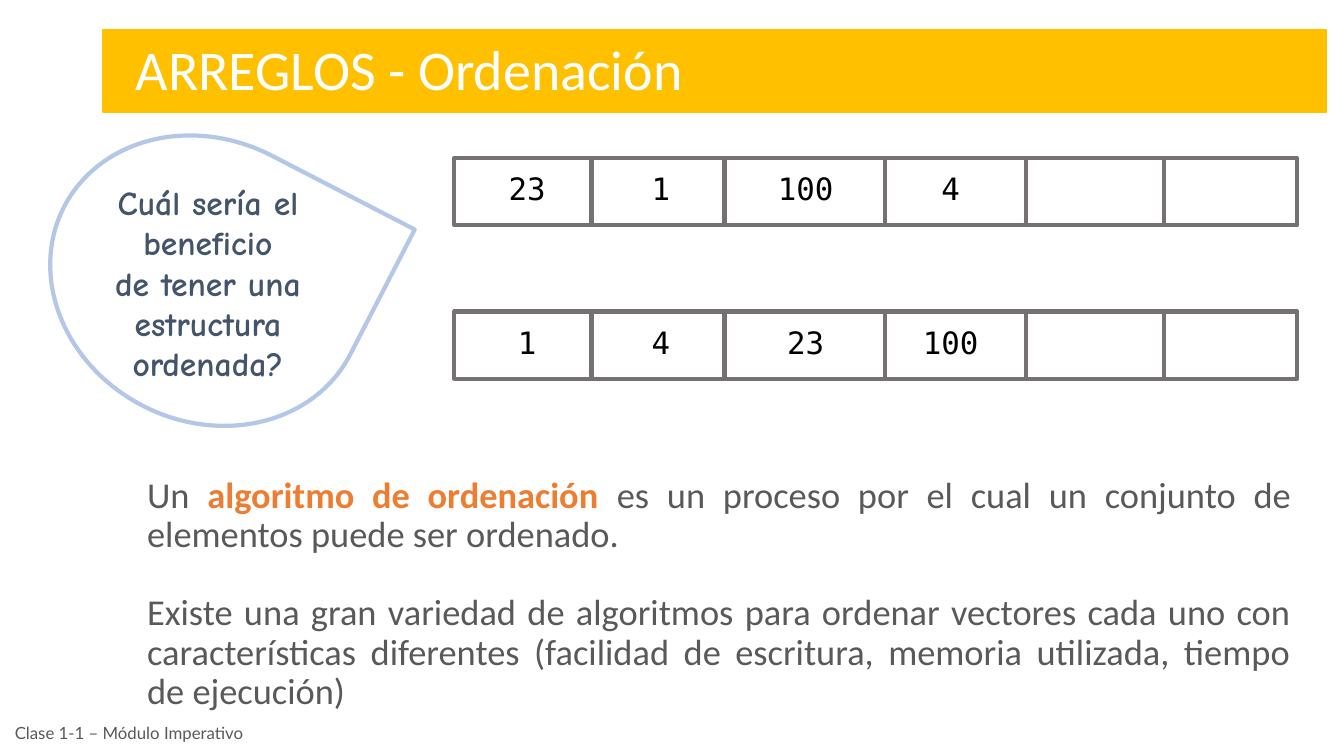
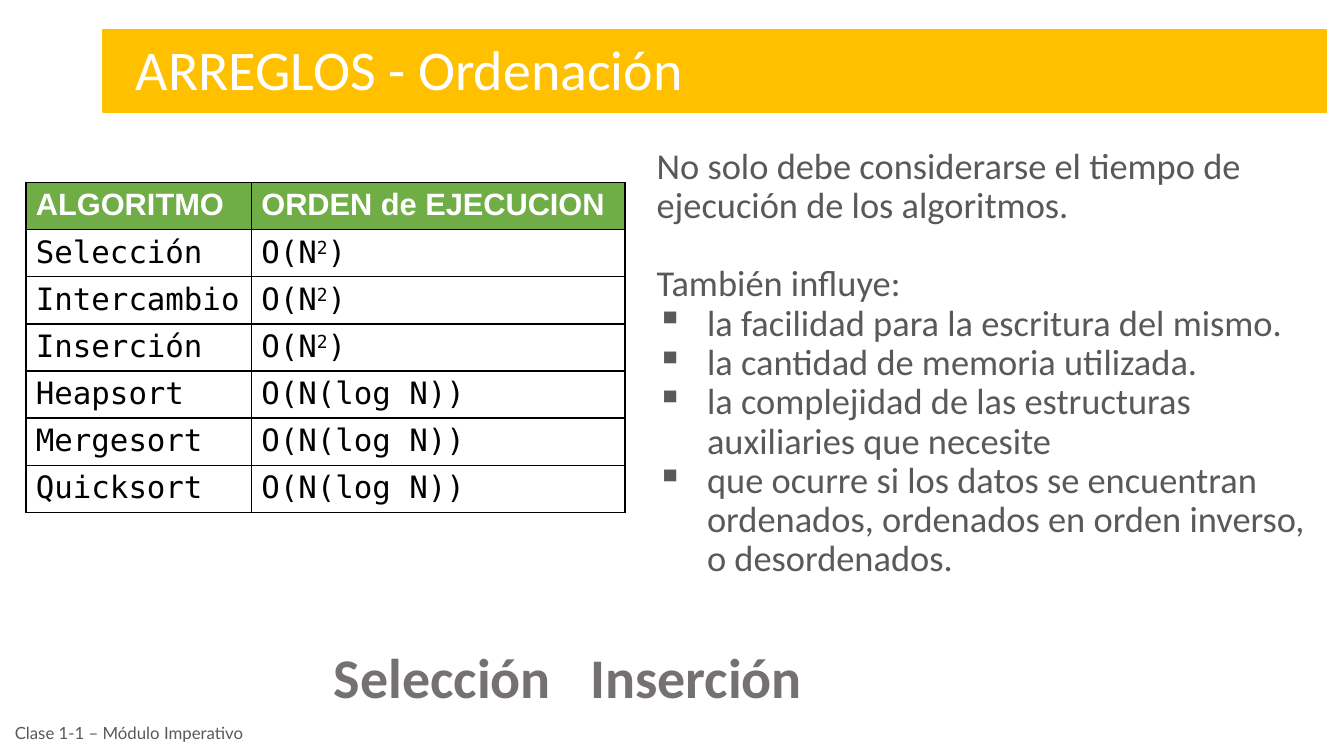
from lxml.etree import SubElement
from pptx import Presentation
from pptx.dml.color import RGBColor
from pptx.enum.shapes import MSO_CONNECTOR, MSO_SHAPE
from pptx.enum.text import MSO_ANCHOR, PP_ALIGN
from pptx.oxml.ns import qn
from pptx.util import Pt

AMBER = RGBColor(0xFF, 0xC0, 0x00)
WHITE = RGBColor(0xFF, 0xFF, 0xFF)
BLACK = RGBColor(0x00, 0x00, 0x00)
SLATE = RGBColor(0x44, 0x54, 0x6A)
SKY = RGBColor(0xB4, 0xC7, 0xE7)
GRAY = RGBColor(0x76, 0x71, 0x71)
TEXT = RGBColor(0x59, 0x59, 0x59)
ORANGE = RGBColor(0xED, 0x7D, 0x31)
GREEN = RGBColor(0x70, 0xAD, 0x47)

SANS, MONO, COMIC = "Calibri", "DejaVu Sans Mono", "Comic Neue"
BODY = dict(size=26, font=SANS, color=TEXT, spacing=0.9)
PARAGRAPH_GAP = 28
DIVIDERS = (98, 193, 307.5, 408.5, 507)
VALUE_CENTERS = (52, 147.5, 251, 354.5)
VALUE_WIDTH = 74

ORDERS = [
    ("Selección", "O(N^2^)"),
    ("Intercambio", "O(N^2^)"),
    ("Inserción", "O(N^2^)"),
    ("Heapsort", "O(N(log N))"),
    ("Mergesort", "O(N(log N))"),
    ("Quicksort", "O(N(log N))"),
]
FACTORS = [
    "la facilidad para la escritura del mismo.",
    "la cantidad de memoria utilizada.",
    "la complejidad de las estructuras auxiliaries que necesite",
    "que ocurre si los datos se encuentran ordenados, "
    "ordenados en orden inverso, o desordenados.",
]


def add_run(p, text, size=22, font=SANS, color=TEXT, bold=False, raised=False):
    r = p.add_run()
    r.text = text
    r.font.size, r.font.name, r.font.bold = Pt(size), font, bold
    r.font.color.rgb = color
    if raised:
        r.font._element.set("baseline", "30000")


def write(tf, text, first=False, align=PP_ALIGN.LEFT, spacing=1.0, before=0,
          bullet=None, accent=None, **style):
    p = tf.paragraphs[0] if first else tf.add_paragraph()
    p.alignment, p.line_spacing, p.space_before = align, spacing, Pt(before)
    if bullet:
        pPr = p._p.get_or_add_pPr()
        pPr.set("marL", str(Pt(36)))
        pPr.set("indent", str(-Pt(36)))
        SubElement(pPr, qn("a:buChar")).set("char", bullet)
    for i, part in enumerate(text.split("*")):
        marked = dict(style, color=accent, bold=True) if i % 2 else style
        for j, piece in enumerate(part.split("^")):
            if piece:
                add_run(p, piece, raised=j % 2 == 1, **marked)


def add_frame(s, x, y, w, h, anchor=MSO_ANCHOR.TOP):
    tf = s.shapes.add_textbox(Pt(x), Pt(y), Pt(w), Pt(h)).text_frame
    tf.word_wrap, tf.vertical_anchor = True, anchor
    return tf


def add_label(s, x, y, w, h, text, anchor=MSO_ANCHOR.TOP, **style):
    write(add_frame(s, x, y, w, h, anchor), text, first=True, **style)


def add_box(s, kind, x, y, w, h, line, weight, fill=None):
    sp = s.shapes.add_shape(kind, Pt(x), Pt(y), Pt(w), Pt(h))
    sp.shadow.inherit = False
    if fill is None:
        sp.fill.background()
    else:
        sp.fill.solid()
        sp.fill.fore_color.rgb = fill
    sp.line.color.rgb, sp.line.width = line, Pt(weight)
    return sp


def add_divider(s, x, y, h):
    line = s.shapes.add_connector(MSO_CONNECTOR.STRAIGHT, Pt(x), Pt(y), Pt(x), Pt(y + h))
    line.line.color.rgb, line.line.width = GRAY, Pt(3)
    SubElement(line._element.spPr, qn("a:effectLst"))


def add_base(prs):
    s = prs.slides.add_slide(prs.slide_layouts[6])
    add_box(s, MSO_SHAPE.RECTANGLE, 73.5, 21.5, 874, 58.5, AMBER, 1, AMBER)
    add_label(s, 90, 21.5, 410, 55.5, "ARREGLOS - Ordenación", size=40, color=WHITE)
    add_label(s, 3.5, 507.5, 230, 32.5, "Clase 1-1 – Módulo Imperativo",
              anchor=MSO_ANCHOR.MIDDLE, size=12, font="Lato")
    return s


def add_question(s, x, y, w, h):
    tf = add_frame(s, x + 6, y + 26.5, 219, 152.5)
    style = dict(align=PP_ALIGN.CENTER, size=24, font=COMIC, color=SLATE, bold=True)
    write(tf, "Cuál sería el beneficio", first=True, **style)
    write(tf, "de tener una estructura ordenada?", **style)
    add_box(s, MSO_SHAPE.TEAR, x, y, w, h, SKY, 3).rotation = 27.3


def add_array(s, x, y, w, h, values):
    add_box(s, MSO_SHAPE.RECTANGLE, x, y, w, h, GRAY, 3)
    for dx in DIVIDERS:
        add_divider(s, x + dx, y, h)
    for center, value in zip(VALUE_CENTERS, values):
        add_label(s, x + center - VALUE_WIDTH / 2, y + 5, VALUE_WIDTH, 34, value,
                  align=PP_ALIGN.CENTER, font=MONO, color=BLACK)


def add_definition(s, x, y, w, h):
    tf = add_frame(s, x, y, w, h)
    style = dict(BODY, align=PP_ALIGN.JUSTIFY)
    write(tf, "Un *algoritmo de ordenación *es un proceso por el cual un conjunto "
          "de elementos puede ser ordenado.", first=True, accent=ORANGE, **style)
    write(tf, "Existe una gran variedad de algoritmos para ordenar vectores cada uno "
          "con características diferentes (facilidad de escritura, memoria utilizada, "
          "tiempo de ejecución)", before=PARAGRAPH_GAP, **style)


def set_borders(cell):
    tcPr = cell._tc.get_or_add_tcPr()
    for i, side in enumerate(("lnL", "lnR", "lnT", "lnB")):
        ln = tcPr.makeelement(qn("a:" + side), {"w": str(Pt(1))})
        fill = SubElement(ln, qn("a:solidFill"))
        SubElement(fill, qn("a:srgbClr")).set("val", str(BLACK))
        tcPr.insert(i, ln)


def add_orders(s, x, y, widths, row_height):
    rows = [("ALGORITMO", "ORDEN de EJECUCION")] + ORDERS
    table = s.shapes.add_table(len(rows), len(widths), Pt(x), Pt(y), Pt(sum(widths)),
                               Pt(row_height * len(rows))).table
    for column, width in zip(table.columns, widths):
        column.width = Pt(width)
    for i, row in enumerate(rows):
        table.rows[i].height = Pt(row_height)
        style = dict(font=MONO, color=BLACK) if i else dict(
            font="Arial", color=WHITE, bold=True)
        for j, text in enumerate(row):
            cell = table.cell(i, j)
            cell.fill.solid()
            cell.fill.fore_color.rgb = WHITE if i else GREEN
            set_borders(cell)
            write(cell.text_frame, text, first=True, **style)


def add_factors(s, x, y, w, h):
    tf = add_frame(s, x, y, w, h)
    write(tf, "No solo debe considerarse el tiempo de ejecución de los algoritmos.",
          first=True, **BODY)
    write(tf, "También influye:", before=PARAGRAPH_GAP, **BODY)
    for factor in FACTORS:
        write(tf, factor, bullet="▪", **BODY)


def add_choices(s, x, y, w, h, step):
    for i, name in enumerate(("Selección", "Inserción")):
        add_label(s, x + i * step, y, w, h, name, size=40, color=GRAY, bold=True)


def build_concept(prs):
    s = add_base(prs)
    add_question(s, 33, 100, 230, 201)
    for y, values in ((113, ("23", "1", "100", "4")), (222.5, ("1", "4", "23", "100"))):
        add_array(s, 324.5, y, 602, 48, values)
    add_definition(s, 98, 337, 832, 171)


def build_comparison(prs):
    s = add_base(prs)
    add_orders(s, 18.5, 130.5, (161, 267), 33.6)
    add_factors(s, 462, 102, 479, 336)
    add_choices(s, 231.5, 455.5, 180, 55.5, 183)


def main():
    prs = Presentation()
    prs.slide_width, prs.slide_height = Pt(960), Pt(540)
    build_concept(prs)
    build_comparison(prs)
    prs.save("out.pptx")


if __name__ == "__main__":
    main()
